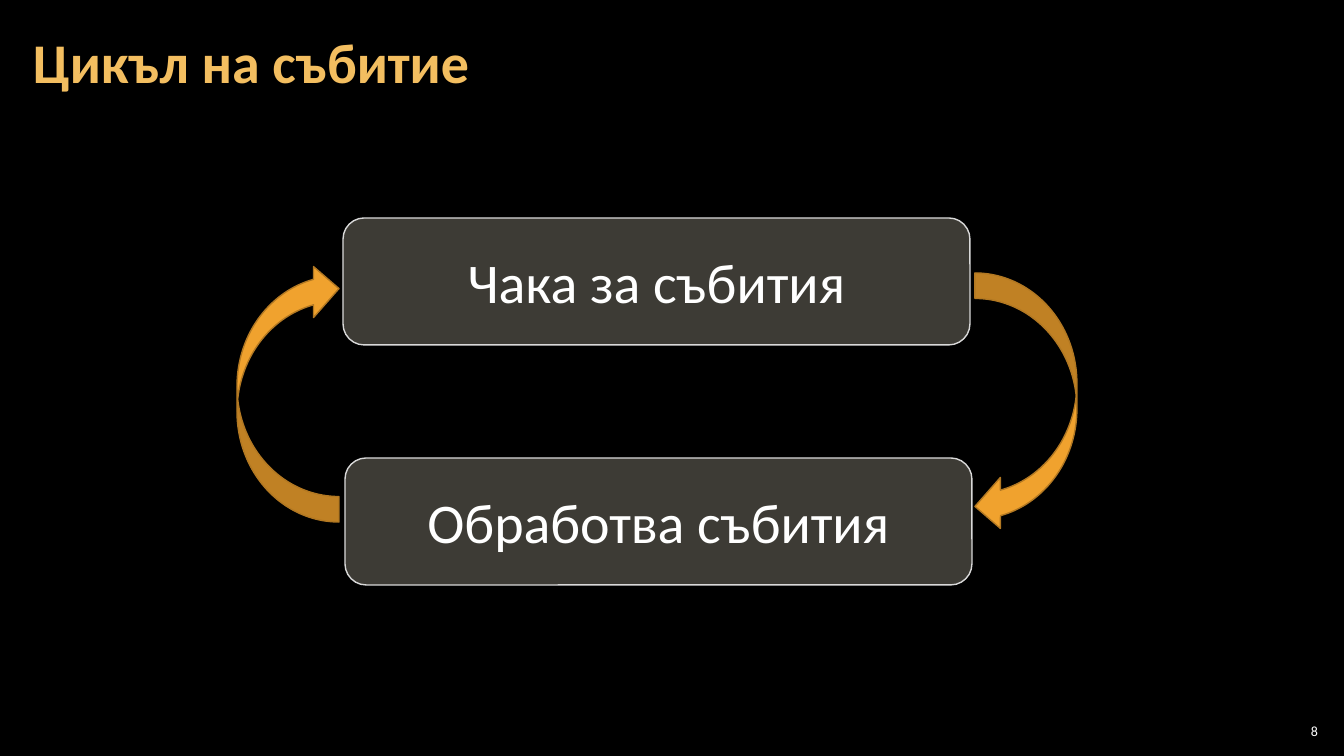
import lxml.etree
import pptx
import pptx.dml.color
import pptx.enum.shapes
import pptx.enum.text
import pptx.oxml.ns
import pptx.util

PX = 914400 / 100.8
SHAPES = pptx.enum.shapes.MSO_SHAPE
ALIGN = pptx.enum.text.PP_ALIGN


def paint(color_format, hex_color):
    """Give a fill, line or font colour format the given hex colour."""
    color_format.rgb = pptx.dml.color.RGBColor.from_string(hex_color)


def write(holder, text, size, color, align, side, bold=False):
    """Put one vertically centred line of text in a shape; side is the side margin in px."""
    frame = holder.text_frame
    frame.word_wrap = True
    frame.auto_size = pptx.enum.text.MSO_AUTO_SIZE.NONE
    frame.vertical_anchor = pptx.enum.text.MSO_ANCHOR.MIDDLE
    frame.margin_left = frame.margin_right = round(side * PX)
    frame.margin_top = frame.margin_bottom = round(4 * PX)
    frame.text = text
    line = frame.paragraphs[0]
    line.alignment = align
    font = line.runs[0].font
    font.name = "Calibri"
    font.size = pptx.util.Pt(size)
    font.bold = bold
    paint(font.color, color)


deck = pptx.Presentation()
deck.slide_width = round(1344 * PX)
deck.slide_height = round(756 * PX)
slide = deck.slides.add_slide(deck.slide_layouts[5])
slide.background.fill.solid()
paint(slide.background.fill.fore_color, "000000")

# Title
title = slide.shapes.title
title.left, title.top, title.width, title.height = [
    round(length * PX) for length in (21, 4, 1301, 122)]
write(title, "Цикъл на събитие", 40, "F3BE60", ALIGN.LEFT, 12, bold=True)
title.text_frame.paragraphs[0].line_spacing = 0.9

# The two steps of the event loop
for label, left, top in (("Чака за събития", 343, 218), ("Обработва събития", 345, 458)):
    step = slide.shapes.add_shape(
        SHAPES.ROUNDED_RECTANGLE,
        *[round(length * PX) for length in (left, top, 627, 127)])
    step.shadow.inherit = False
    step.fill.solid()
    paint(step.fill.fore_color, "C7BFAC")
    tint = step.fill._xPr.find(".//" + pptx.oxml.ns.qn("a:srgbClr"))
    lxml.etree.SubElement(tint, pptx.oxml.ns.qn("a:alpha"), val="31000")
    paint(step.line.color, "D9D9D9")
    step.line.width = pptx.util.Pt(1)
    write(step, label, 40, "FFFFFF", ALIGN.CENTER, 10)

# Arrows closing the loop: down on the right, back up on the left
for left, top, rotation in ((975, 273, 0), (237, 263, 180)):
    turn = slide.shapes.add_shape(
        SHAPES.CURVED_LEFT_ARROW,
        *[round(length * PX) for length in (left, top, 102, 259)])
    turn.rotation = rotation
    turn.shadow.inherit = False
    turn.fill.solid()
    paint(turn.fill.fore_color, "F0A22E")
    paint(turn.line.color, "B27822")
    turn.line.width = pptx.util.Pt(1)

# Slide number
page_number = slide.shapes.add_textbox(
    *[round(length * PX) for length in (1275, 720, 47, 21)])
write(page_number, "8", 10, "FFFFFF", ALIGN.RIGHT, 4)

deck.save("out.pptx")
